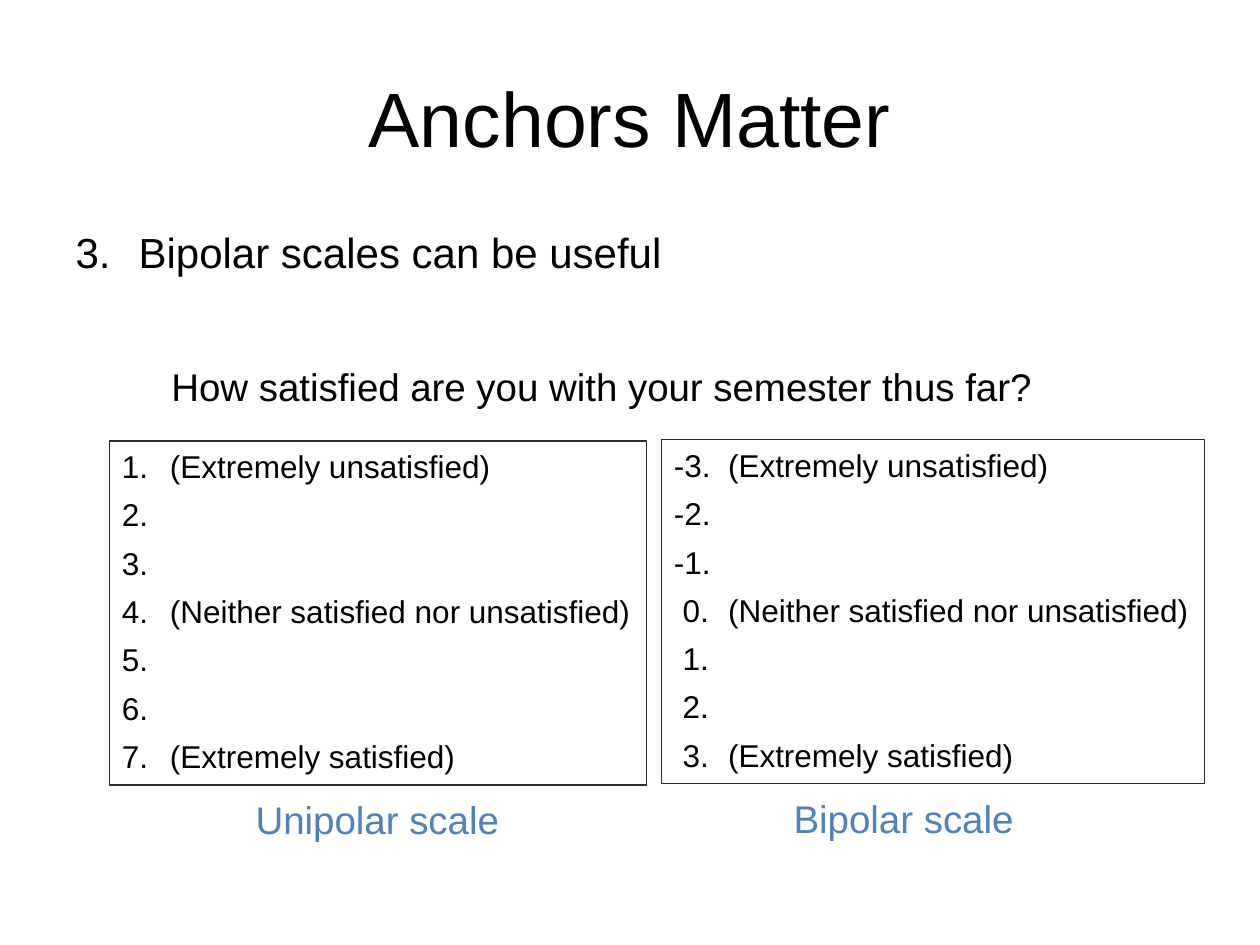
from dataclasses import dataclass

from lxml import etree
from pptx import Presentation
from pptx import util as u
from pptx.dml.color import RGBColor
from pptx.enum import shapes, text
from pptx.oxml.ns import qn

COLUMNS, ROWS = 100, 75


@dataclass(frozen=True)
class Theme:
    face: str = "Arial"
    ink: str = "000000"
    accent: str = "4F81BD"
    border: str = "292934"
    title: int = 44
    topic: int = 24
    question: int = 22
    item: int = 18
    caption: int = 22


@dataclass(frozen=True)
class Box:
    """A place on the grid, in columns and rows."""
    left: float
    top: float
    width: float
    height: float

    def lengths(self, deck):
        column, row = deck.slide_width / COLUMNS, deck.slide_height / ROWS
        return [int(n) for n in (self.left * column, self.top * row,
                                 self.width * column, self.height * row)]


THEME = Theme()
LABELS = ["(Extremely unsatisfied)", "", "", "(Neither satisfied nor unsatisfied)",
          "", "", "(Extremely satisfied)"]


def set_all(target, values):
    for name, value in values.items():
        setattr(target, name, value)


def place(shape, deck, box):
    names = ("left", "top", "width", "height")
    set_all(shape, dict(zip(names, box.lengths(deck))))


def set_frame(shape, anchor=text.MSO_ANCHOR.TOP, fit=text.MSO_AUTO_SIZE.NONE):
    frame = shape.text_frame
    set_all(frame, {"word_wrap": True, "auto_size": fit, "vertical_anchor": anchor})
    return frame


def write(para, words, size, color=THEME.ink, align=text.PP_ALIGN.LEFT,
          before=0, margin=0.0, indent=0.0, numbered=False):
    """Fill a paragraph; margin and indent are in inches."""
    props = para._p.get_or_add_pPr()
    props.set("marL", str(u.Inches(margin)))
    props.set("indent", str(u.Inches(indent)))
    para.space_before = u.Pt(before)
    if numbered:
        etree.SubElement(props, qn("a:buFont"), typeface="+mj-lt")
        etree.SubElement(props, qn("a:buAutoNum"), type="arabicPeriod")
    else:
        etree.SubElement(props, qn("a:buNone"))
    para.alignment = align
    span = para.add_run()
    span.text = words
    set_all(span.font, {"name": THEME.face, "size": u.Pt(size)})
    span.font.color.rgb = RGBColor.from_string(color)


def add_heading(page, deck, box):
    title = page.shapes.title
    place(title, deck, box)
    frame = set_frame(title, text.MSO_ANCHOR.MIDDLE)
    write(frame.paragraphs[0], "Anchors Matter", THEME.title,
          align=text.PP_ALIGN.CENTER)


def add_topic(page, deck, box):
    body = page.placeholders[1]
    place(body, deck, box)
    frame = set_frame(body)
    write(frame.paragraphs[0], "3.\tBipolar scales can be useful", THEME.topic,
          margin=0.5, indent=-0.5)
    write(frame.add_paragraph(), "How satisfied are you with your semester thus far?",
          THEME.question, before=49, margin=0.76)


def add_scale(page, deck, box, items, caption, caption_left, caption_width):
    """Draw a framed list of (words, format) items with a caption under it."""
    panel = page.shapes.add_shape(shapes.MSO_SHAPE.RECTANGLE, *box.lengths(deck))
    panel.shadow.inherit = False
    panel.fill.background()
    panel.line.color.rgb = RGBColor.from_string(THEME.border)
    panel.line.width = u.Pt(0.75)
    frame = set_frame(panel, fit=text.MSO_AUTO_SIZE.SHAPE_TO_FIT_TEXT)
    for i, (words, layout) in enumerate(items):
        para = frame.add_paragraph() if i else frame.paragraphs[0]
        write(para, words, THEME.item, before=6 if i else 0, **layout)

    under = Box(box.left + caption_left, box.top + box.height + 0.4, caption_width, 4.7)
    label = page.shapes.add_textbox(*under.lengths(deck))
    frame = set_frame(label, fit=text.MSO_AUTO_SIZE.SHAPE_TO_FIT_TEXT)
    write(frame.paragraphs[0], caption, THEME.caption, THEME.accent)


def unipolar_items():
    # A numbered item needs at least a space for its number to show.
    layout = {"margin": 0.38, "indent": -0.38, "numbered": True}
    return [(label or " ", layout) for label in LABELS]


def bipolar_items():
    items = []
    for value, label in enumerate(LABELS, start=-3):
        words = f"{value}.\t{label}" if label else f"{value}."
        indent = -0.43 if value < 0 else -0.36
        items.append((words, {"margin": 0.43, "indent": indent}))
    return items


def main():
    deck = Presentation()
    deck.slide_width, deck.slide_height = u.Inches(10), u.Inches(7.5)
    page = deck.slides.add_slide(deck.slide_layouts[1])
    add_heading(page, deck, Box(5, 3, 90, 12.5))
    add_topic(page, deck, Box(5, 17.5, 90, 49.5))
    add_scale(page, deck, Box(8.7, 35, 42.6, 27.3), unipolar_items(),
              "Unipolar scale", 10.6, 22.5)
    add_scale(page, deck, Box(52.5, 34.9, 43.1, 27.3), bipolar_items(),
              "Bipolar scale", 9.5, 20.4)
    deck.save("out.pptx")


if __name__ == "__main__":
    main()
